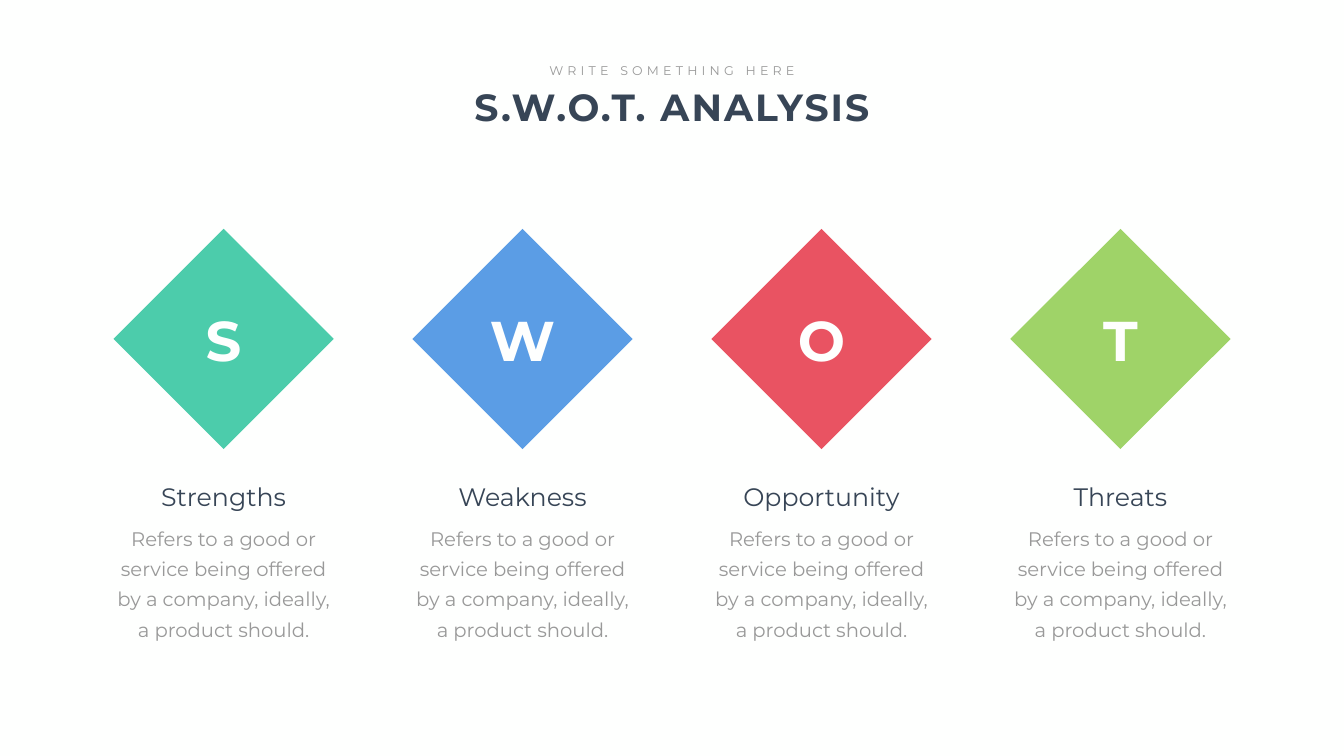
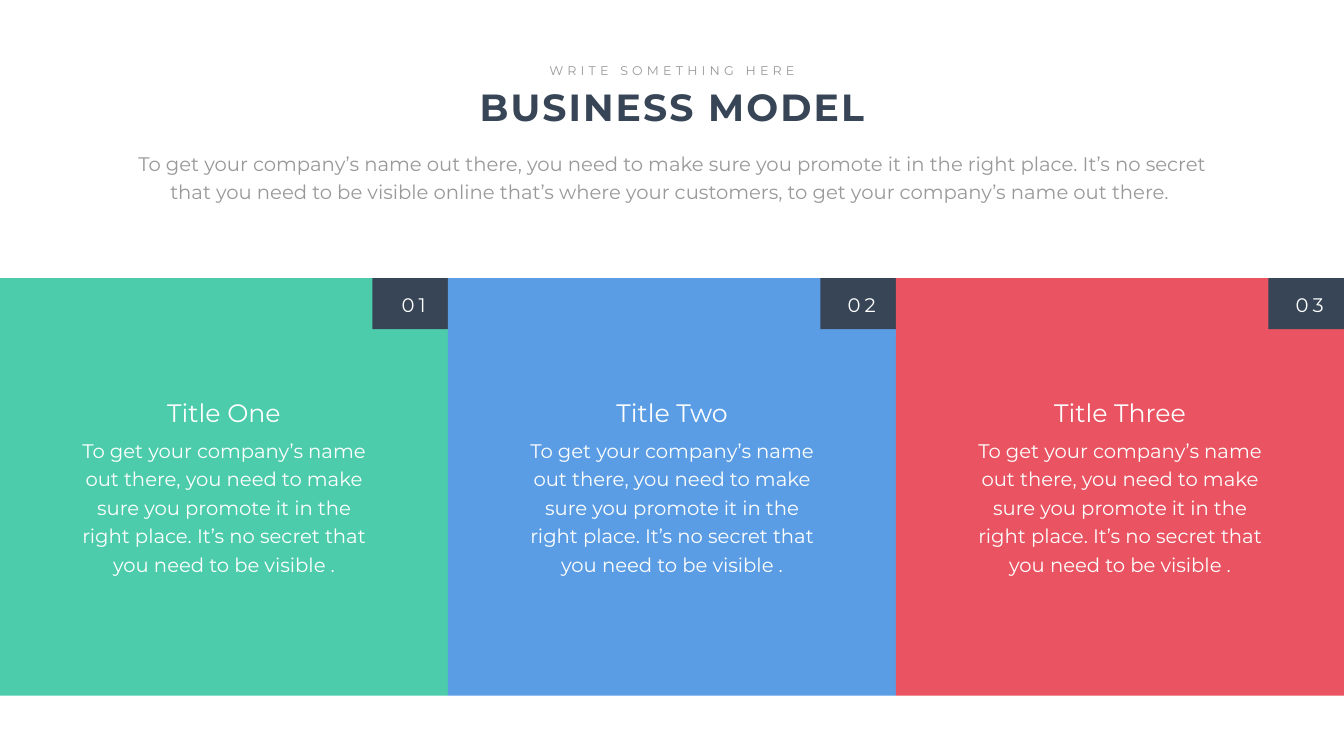
from dataclasses import dataclass
from typing import NamedTuple

from pptx import Presentation
from pptx.dml.color import RGBColor
from pptx.enum.shapes import MSO_SHAPE as Preset
from pptx.enum.text import MSO_AUTO_SIZE as AutoSize, PP_ALIGN as Align
from pptx.slide import Slide
from pptx.util import Inches, Pt

SLIDE_W, SLIDE_H = 26.66, 15
CENTRE = SLIDE_W / 2


class TextStyle(NamedTuple):
    size: int
    color: str
    bold: bool = False
    tracking: int = 0  # points between letters
    leading: float | None = None  # points from line to line


@dataclass(frozen=True)
class Theme:
    font: str = "Montserrat"
    paper: str = "FEFFFE"
    ink: str = "374556"
    grey: str = "999999"
    accents: tuple[str, ...] = ("4CCCAB", "5B9DE5", "E95362", "9FD368")
    title: TextStyle = TextStyle(54, ink, bold=True, tracking=3)
    kicker: TextStyle = TextStyle(18, grey, tracking=6)
    intro: TextStyle = TextStyle(28, grey, leading=40.8)
    letter: TextStyle = TextStyle(80, paper, bold=True, tracking=3)
    swot_heading: TextStyle = TextStyle(36, ink)
    swot_body: TextStyle = TextStyle(28, grey, leading=43)
    panel_heading: TextStyle = TextStyle(36, paper)
    panel_body: TextStyle = TextStyle(28, paper, leading=40.8)
    badge: TextStyle = TextStyle(28, paper, tracking=6)


THEME = Theme()


class Quadrant(NamedTuple):
    letter: str
    heading: str


class Panel(NamedTuple):
    number: str
    heading: str


QUADRANTS = [
    Quadrant("S", "Strengths"),
    Quadrant("W", "Weakness"),
    Quadrant("O", "Opportunity"),
    Quadrant("T", "Threats"),
]
QUADRANT_BODY = (
    "Refers to a good or service being offered by a company, "
    "ideally, a product should."
)
PANELS = [
    Panel("01", "Title One"),
    Panel("02", "Title Two"),
    Panel("03", "Title Three"),
]
PANEL_BODY = (
    "To get your company’s name out there, you need to make sure you promote it "
    "in the right place. It’s no secret that you need to be visible ."
)
INTRO = (
    "To get your company’s name out there, you need to make sure you promote it "
    "in the right place. It’s no secret that you need to be visible online that’s "
    "where your customers, to get your company’s name out there. "
)


def add_block(slide: Slide, left: float, top: float, width: float, height: float,
              color: str, rotation: float = 0) -> None:
    """Draw a plain filled rectangle."""
    block = slide.shapes.add_shape(
        Preset.RECTANGLE, Inches(left), Inches(top), Inches(width), Inches(height))
    block.shadow.inherit = False
    block.fill.solid()
    block.fill.fore_color.rgb = RGBColor.from_string(color)
    block.line.fill.background()
    block.rotation = rotation


def add_text(slide: Slide, text: str, style: TextStyle, centre: float, top: float,
             width: float, height: float, wrap: bool = True,
             inset: tuple[float, float] = (0.1, 0.05)) -> None:
    """Write one centred paragraph in a box placed around a vertical axis."""
    frame = slide.shapes.add_textbox(
        Inches(centre - width / 2), Inches(top), Inches(width), Inches(height)).text_frame
    side, edge = map(Inches, inset)
    paragraph = frame.paragraphs[0]
    run = paragraph.add_run()
    run.text = text
    formats = {
        frame: {
            "word_wrap": wrap, "auto_size": AutoSize.SHAPE_TO_FIT_TEXT,
            "margin_left": side, "margin_right": side,
            "margin_top": edge, "margin_bottom": edge,
        },
        paragraph: {
            "alignment": Align.CENTER,
            "line_spacing": Pt(style.leading) if style.leading else None,
        },
        run.font: {"name": THEME.font, "size": Pt(style.size), "bold": style.bold},
    }
    for target, values in formats.items():
        for name, value in values.items():
            setattr(target, name, value)
    run.font.color.rgb = RGBColor.from_string(style.color)
    if style.tracking:
        run.font._element.set("spc", str(style.tracking * 100))


def add_titled_slide(prs, title: str) -> Slide:
    """Start a slide with the shared background, title and kicker."""
    slide = prs.slides.add_slide(prs.slide_layouts[6])
    slide.background.fill.solid()
    slide.background.fill.fore_color.rgb = RGBColor.from_string(THEME.paper)
    add_text(slide, title, THEME.title, CENTRE, 1.61, 11.92, 1.01)
    add_text(slide, "WRITE SOMETHING HERE", THEME.kicker, CENTRE, 1.2, 5.18, 0.4,
             wrap=False)
    return slide


def build_swot(prs) -> None:
    slide = add_titled_slide(prs, "S.W.O.T. ANALYSIS")
    step, side = 5.93, 3.09
    for index, (quadrant, color) in enumerate(zip(QUADRANTS, THEME.accents)):
        axis = CENTRE + (index - (len(QUADRANTS) - 1) / 2) * step
        # Diamond with its letter
        add_block(slide, axis - side / 2, 5.18, side, side, color, rotation=45)
        add_text(slide, quadrant.letter, THEME.letter, axis, 6.01, 2.98, 1.45)
        # Heading and description
        add_text(slide, quadrant.heading, THEME.swot_heading, axis, 9.5, 4.81, 0.71)
        add_text(slide, QUADRANT_BODY, THEME.swot_body, axis, 10.21, 4.81, 2.6,
                 inset=(0.24, 0.12))


def build_business_model(prs) -> None:
    slide = add_titled_slide(prs, "BUSINESS MODEL")
    add_text(slide, INTRO, THEME.intro, CENTRE, 2.86, 21.94, 1.2)
    panel_top, panel_width = 5.52, SLIDE_W / len(PANELS)
    badge_width = 1.5
    for index, (panel, color) in enumerate(zip(PANELS, THEME.accents)):
        left = index * panel_width
        right, axis = left + panel_width, left + panel_width / 2
        # Coloured panel with heading and description
        add_block(slide, left, panel_top, panel_width, 8.28, color)
        add_text(slide, panel.heading, THEME.panel_heading, axis, 7.84, 4.81, 0.71)
        add_text(slide, PANEL_BODY, THEME.panel_body, axis, 8.55, 6.21, 2.93)
        # Number badge in the top right corner
        add_block(slide, right - badge_width, panel_top, badge_width, 1.01, THEME.ink)
        add_text(slide, panel.number, THEME.badge, right - 0.68, 5.76, 1.06, 0.57)


def main() -> None:
    prs = Presentation()
    prs.slide_width, prs.slide_height = Inches(SLIDE_W), Inches(SLIDE_H)
    build_swot(prs)
    build_business_model(prs)
    prs.save("out.pptx")


if __name__ == "__main__":
    main()
